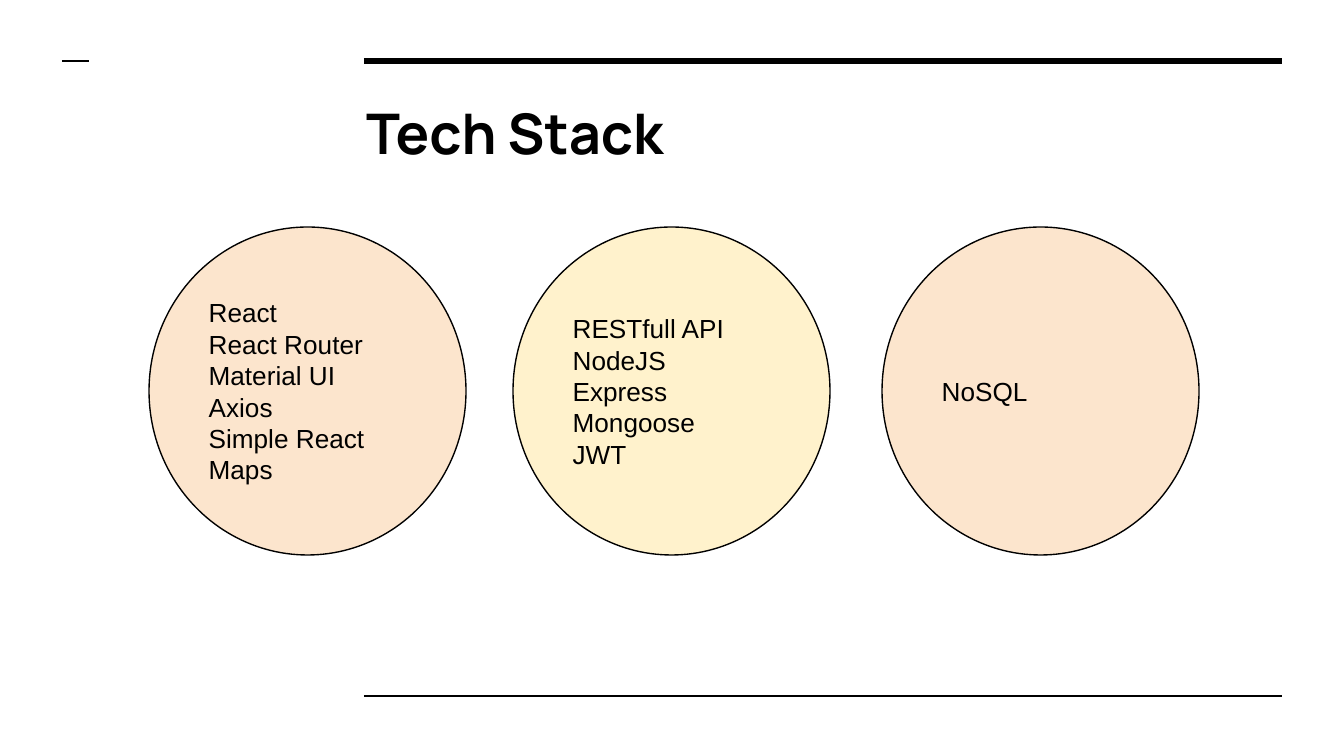
from pptx import Presentation
from pptx.dml.color import RGBColor
from pptx.enum.shapes import MSO_CONNECTOR, MSO_SHAPE
from pptx.enum.text import MSO_ANCHOR, PP_ALIGN
from pptx.util import Emu, Inches, Pt
from lxml import etree

STRAIGHT = MSO_CONNECTOR.STRAIGHT
CIRCLE = MSO_SHAPE.FLOWCHART_CONNECTOR
TOP, MIDDLE = MSO_ANCHOR.TOP, MSO_ANCHOR.MIDDLE
LEFT = PP_ALIGN.LEFT
DRAWING = "http://schemas.openxmlformats.org/drawingml/2006/main"
SCALE = 914400 / 134.4
COLORS = {"ink": "000000", "peach": "FCE5CD", "cream": "FFF2CC"}


def px(value):
    return Emu(round(value * SCALE))


def write(frame, text, font="Arial", size=14, bold=False, color="ink", anchor=MIDDLE):
    frame.word_wrap = True
    frame.vertical_anchor = anchor
    frame.margin_left = frame.margin_right = Inches(0.1)
    frame.margin_top = frame.margin_bottom = Inches(0.1)
    frame.text = text
    for paragraph in frame.paragraphs:
        paragraph.alignment = LEFT
        for run in paragraph.runs:
            run.font.name = font
            run.font.size = Pt(size)
            run.font.bold = bold
            run.font.color.rgb = RGBColor.from_string(COLORS[color])


deck = Presentation()
deck.slide_width, deck.slide_height = px(1344), px(756)
slide = deck.slides.add_slide(deck.slide_layouts[6])
shapes = slide.shapes
ink = RGBColor.from_string(COLORS["ink"])

for start, end, y, weight in [(364, 1282, 61, 3), (364, 1282, 696, 1.5), (62, 89, 61, 1.5)]:
    rule = shapes.add_connector(STRAIGHT, px(start), px(y), px(end), px(y))
    rule.line.color.rgb = ink
    rule.line.width = Pt(weight)
    etree.SubElement(rule._element.spPr, f"{{{DRAWING}}}effectLst")

title = shapes.add_textbox(px(353), px(85), px(929), px(93))
write(title.text_frame, "Tech Stack", font="Manrope", size=30, bold=True, anchor=TOP)

stacks = [
    (149, "peach", ["React", "React Router", "Material UI", "Axios", "Simple React Maps"]),
    (513, "cream", ["RESTfull API", "NodeJS", "Express", "Mongoose", "JWT"]),
    (882, "peach", ["NoSQL"]),
]
for left, fill, tools in stacks:
    circle = shapes.add_shape(CIRCLE, px(left), px(227), px(317), px(328))
    circle.shadow.inherit = False
    circle.fill.solid()
    circle.fill.fore_color.rgb = RGBColor.from_string(COLORS[fill])
    circle.line.color.rgb = ink
    circle.line.width = Pt(0.75)
    write(circle.text_frame, "\n".join(tools))

deck.save("out.pptx")
